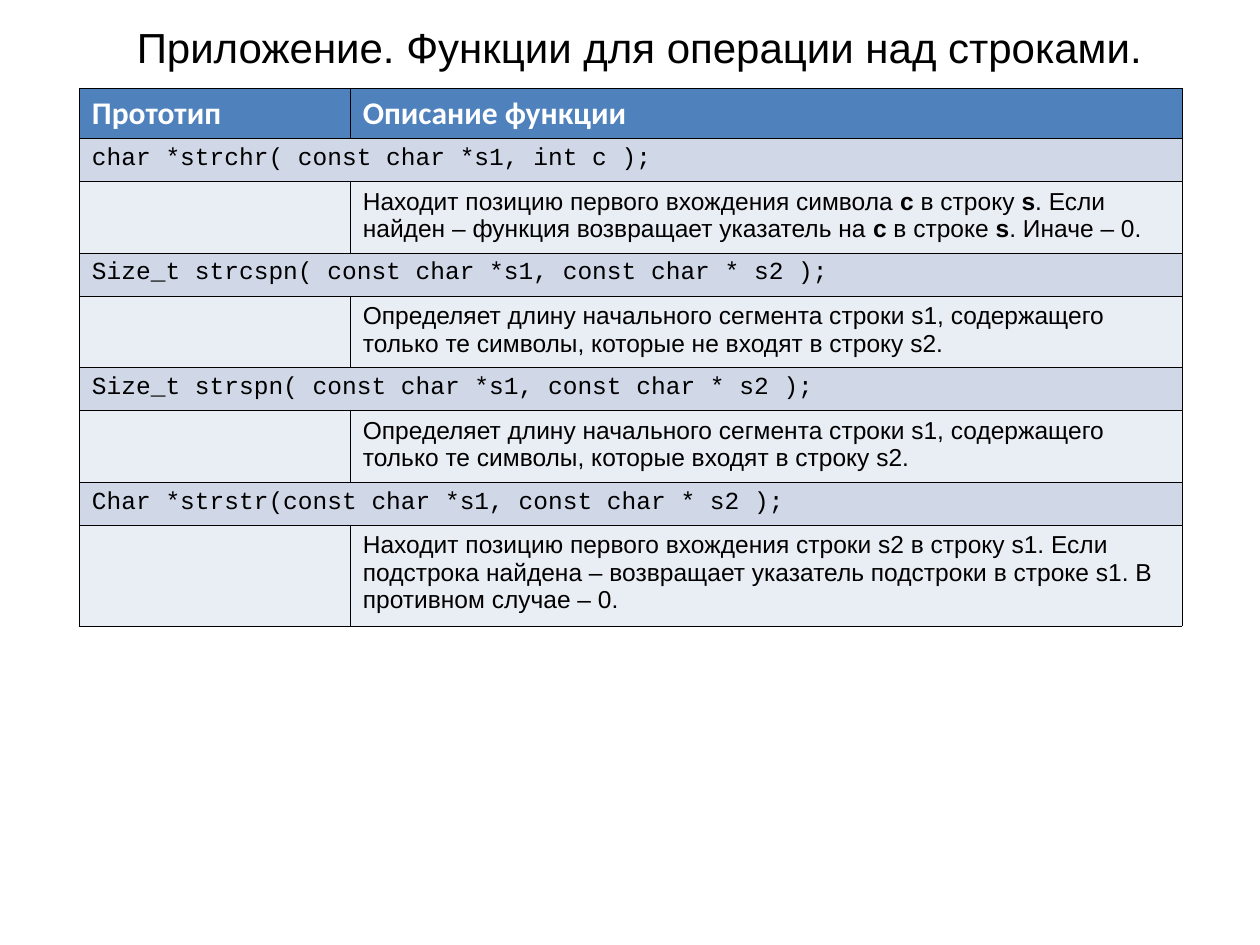
from lxml.etree import SubElement
from pptx import Presentation
from pptx.dml.color import RGBColor
from pptx.enum.text import PP_ALIGN
from pptx.oxml.ns import qn
from pptx.util import Inches, Pt

BLACK = RGBColor(0x00, 0x00, 0x00)
WHITE = RGBColor(0xFF, 0xFF, 0xFF)
HEADER_BLUE = RGBColor(0x4F, 0x81, 0xBD)
PROTOTYPE_BLUE = RGBColor(0xD0, 0xD8, 0xE8)
DESCRIPTION_BLUE = RGBColor(0xE9, 0xED, 0xF4)

TITLE = "Приложение. Функции для операции над строками."
HEADERS = ["Прототип", "Описание функции"]
FUNCTIONS = [
    (
        "char *strchr( const char *s1, int c );",
        "Находит позицию первого вхождения символа **с** в строку **s**. "
        "Если найден – функция возвращает указатель на **с** в строке **s**. Иначе – 0.",
        0.57,
    ),
    (
        "Size_t strcspn( const char *s1, const char * s2 );",
        "Определяет длину начального сегмента строки s1, содержащего "
        "только те символы, которые не входят в строку s2.",
        0.57,
    ),
    (
        "Size_t strspn( const char *s1, const char * s2 );",
        "Определяет длину начального сегмента строки s1, содержащего "
        "только те символы, которые входят в строку s2.",
        0.57,
    ),
    (
        "Char *strstr(const char *s1, const char * s2 );",
        "Находит позицию первого вхождения строки s2 в строку s1. "
        "Если подстрока найдена – возвращает указатель подстроки в строке s1. "
        "В противном случае – 0.",
        0.8,
    ),
]
HEADER_HEIGHT = 0.4
PROTOTYPE_HEIGHT = 0.34
COLUMN_SHARES = [2.15, 6.6]


def style_span(span, font, size, color, bold=False):
    span.font.name = font
    span.font.size = Pt(size)
    span.font.color.rgb = color
    span.font.bold = bold


def write_marked(para, text, font, size, color):
    for index, part in enumerate(text.split("**")):
        span = para.add_run()
        span.text = part
        style_span(span, font, size, color, index % 2 == 1)


def write_cell(cell, text, font, size, color, bold=False):
    para = cell.text_frame.paragraphs[0]
    para.text = text
    style_span(para.runs[0], font, size, color, bold)


def paint_cell(cell, color):
    cell.margin_left = cell.margin_right = Inches(0.1)
    cell.margin_top = cell.margin_bottom = Inches(0.05)
    properties = cell._tc.get_or_add_tcPr()
    for side in ("a:lnL", "a:lnR", "a:lnT", "a:lnB"):
        border = SubElement(properties, qn(side), w=str(Pt(0.45)))
        fill = SubElement(border, qn("a:solidFill"))
        SubElement(fill, qn("a:srgbClr"), val=str(BLACK))
    cell.fill.solid()
    cell.fill.fore_color.rgb = color


def add_title(page, left, top, width, height):
    box = page.shapes.add_textbox(left, top, width, height)
    box.text_frame.word_wrap = True
    para = box.text_frame.paragraphs[0]
    para.text = TITLE
    para.alignment = PP_ALIGN.CENTER
    style_span(para.runs[0], "Arial", 24, BLACK)


def add_function_table(page, left, top, width, height):
    heights = [HEADER_HEIGHT]
    fills = [HEADER_BLUE]
    for prototype, description, description_height in FUNCTIONS:
        heights += [PROTOTYPE_HEIGHT, description_height]
        fills += [PROTOTYPE_BLUE, DESCRIPTION_BLUE]

    frame = page.shapes.add_table(len(heights), 2, left, top, width, height)
    table = frame.table
    for column, share in zip(table.columns, COLUMN_SHARES):
        column.width = int(width * share / sum(COLUMN_SHARES))
    for row, row_height, color in zip(table.rows, heights, fills):
        row.height = Inches(row_height)
        for cell in row.cells:
            paint_cell(cell, color)

    for column, header in enumerate(HEADERS):
        write_cell(table.cell(0, column), header, "Calibri", 18, WHITE, True)
    for index, (prototype, description, _) in enumerate(FUNCTIONS):
        row = 1 + 2 * index
        table.cell(row, 0).merge(table.cell(row, 1))
        write_cell(table.cell(row, 0), prototype, "Courier New", 14, BLACK)
        para = table.cell(row + 1, 1).text_frame.paragraphs[0]
        write_marked(para, description, "Arial", 14, BLACK)


def main():
    deck = Presentation()
    deck.slide_width = Inches(10)
    deck.slide_height = Inches(7.5)
    page = deck.slides.add_slide(deck.slide_layouts[6])
    add_title(page, Inches(0.23), Inches(0.12), Inches(9.69), Inches(0.5))
    add_function_table(page, Inches(0.63), Inches(0.7), Inches(8.75), Inches(4.27))
    deck.save("out.pptx")


if __name__ == "__main__":
    main()
